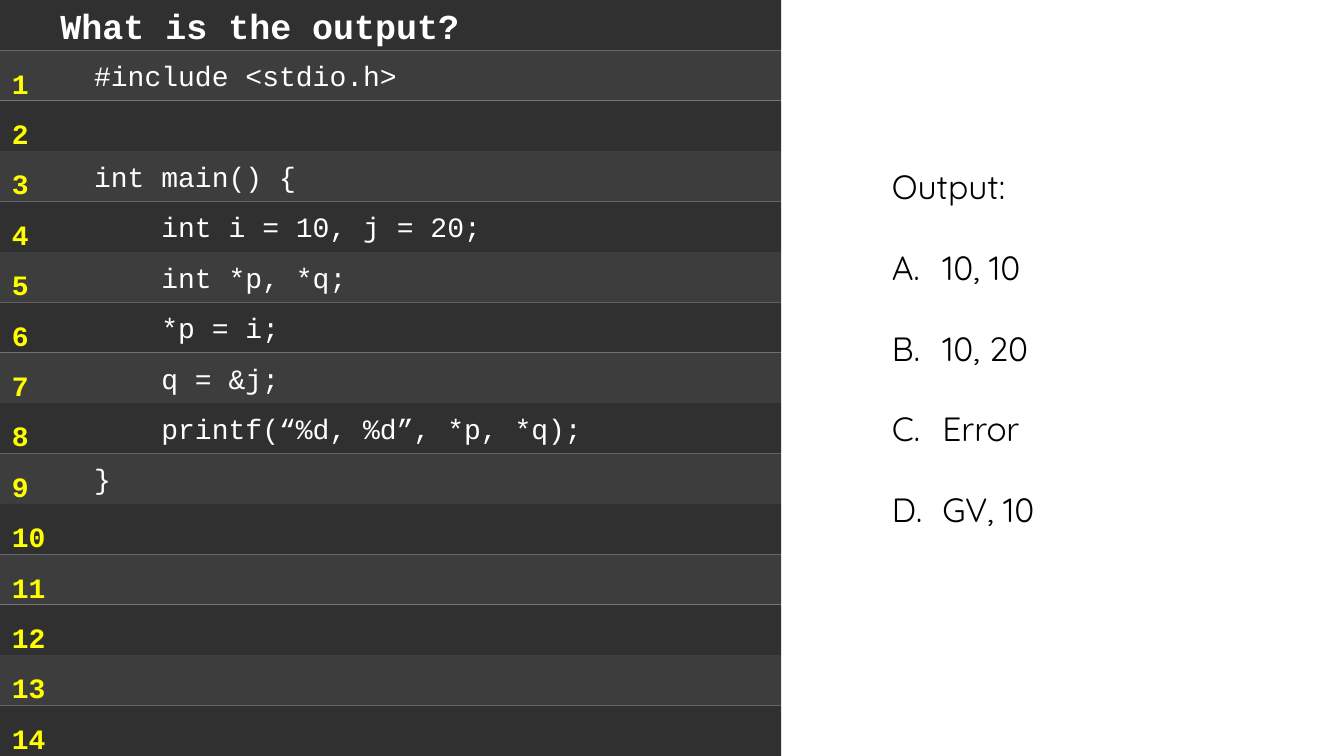
"""Build a quiz slide: a numbered C listing beside its answer options."""
from lxml import etree
from pptx import Presentation
from pptx.dml.color import RGBColor
from pptx.enum.shapes import MSO_SHAPE
from pptx.enum.text import MSO_ANCHOR, MSO_AUTO_SIZE, PP_ALIGN
from pptx.oxml.ns import qn
from pptx.util import Pt

RECTANGLE = MSO_SHAPE.RECTANGLE
MIDDLE = MSO_ANCHOR.MIDDLE
LEFT = PP_ALIGN.LEFT
NO_AUTOFIT = MSO_AUTO_SIZE.NONE
TITLE_ONLY = 5

CODE_FONT, ANSWER_FONT = "Courier New", "Quicksand"
DARK, LIGHT, WHITE, YELLOW, BLACK = "303030", "3D3D3D", "FFFFFF", "FFFF00", "000000"
PANEL_WIDTH, ROW_HEIGHT, ROW_COUNT = 558, 36, 14

CODE = [
    "#include <stdio.h>",
    "",
    "int main() {",
    "    int i = 10, j = 20;",
    "    int *p, *q;",
    "    *p = i;",
    "    q = &j;",
    "    printf(“%d, %d”, *p, *q);",
    "}",
]
ANSWERS = ["10, 10", "10, 20", "Error", "GV, 10"]


def set_fill(shape, color):
    shape.fill.solid()
    shape.fill.fore_color.rgb = RGBColor.from_string(color)


def set_font(para, name, size, color, bold=False):
    font = para.font
    font.name, font.size, font.bold = name, Pt(size), bold
    font.color.rgb = RGBColor.from_string(color)


def write_row(shape, text, margin, size, bold=False):
    frame = shape.text_frame
    frame.auto_size = NO_AUTOFIT
    frame.vertical_anchor = MIDDLE
    frame.margin_left = Pt(margin)
    frame.margin_top = frame.margin_bottom = Pt(3.6)
    para = frame.paragraphs[0]
    para.text = text
    para.alignment = LEFT
    set_font(para, CODE_FONT, size, WHITE, bold)


def add_title(page):
    title = page.shapes.title
    title.left, title.top = Pt(0), Pt(0)
    title.width, title.height = Pt(PANEL_WIDTH), Pt(ROW_HEIGHT)
    set_fill(title, DARK)
    write_row(title, "What is the output?", 43.2, 25, bold=True)


def add_code_row(page, index, text):
    row = page.shapes.add_shape(RECTANGLE, Pt(0), Pt((index + 1) * ROW_HEIGHT),
                                Pt(PANEL_WIDTH), Pt(ROW_HEIGHT))
    row.shadow.inherit = False
    row.line.fill.background()
    set_fill(row, DARK if index % 2 else LIGHT)
    if text:
        write_row(row, text, 67.2, 20)


def add_text(page, left, top, width, height, lines):
    box = page.shapes.add_textbox(Pt(left), Pt(top), Pt(width), Pt(height))
    box.text_frame.word_wrap = True
    box.text_frame.text = "\n".join(lines)
    return box.text_frame.paragraphs


def add_line_numbers(page):
    numbers = [str(number + 1) for number in range(ROW_COUNT)]
    for para in add_text(page, 1.4, 31.7, 40.3, 513.4, numbers):
        para.line_spacing = 1.5
        set_font(para, CODE_FONT, 20, YELLOW, bold=True)


def add_letter(para):
    properties = para._p.get_or_add_pPr()
    properties.set("marL", str(Pt(36)))
    properties.set("indent", str(Pt(-36)))
    etree.SubElement(properties, qn("a:buAutoNum"), type="alphaUcPeriod")


def add_answers(page):
    paras = add_text(page, 630, 115.2, 216, 269.3, ["Output:"] + ANSWERS)
    for para in paras[1:]:
        para.space_before = Pt(28.8)
        add_letter(para)
    for para in paras:
        set_font(para, ANSWER_FONT, 24, BLACK)


def main():
    deck = Presentation()
    deck.slide_width, deck.slide_height = Pt(960), Pt(540)
    page = deck.slides.add_slide(deck.slide_layouts[TITLE_ONLY])
    add_title(page)
    for index in range(ROW_COUNT):
        add_code_row(page, index, CODE[index] if index < len(CODE) else "")
    add_line_numbers(page)
    add_answers(page)
    deck.save("out.pptx")


if __name__ == "__main__":
    main()
